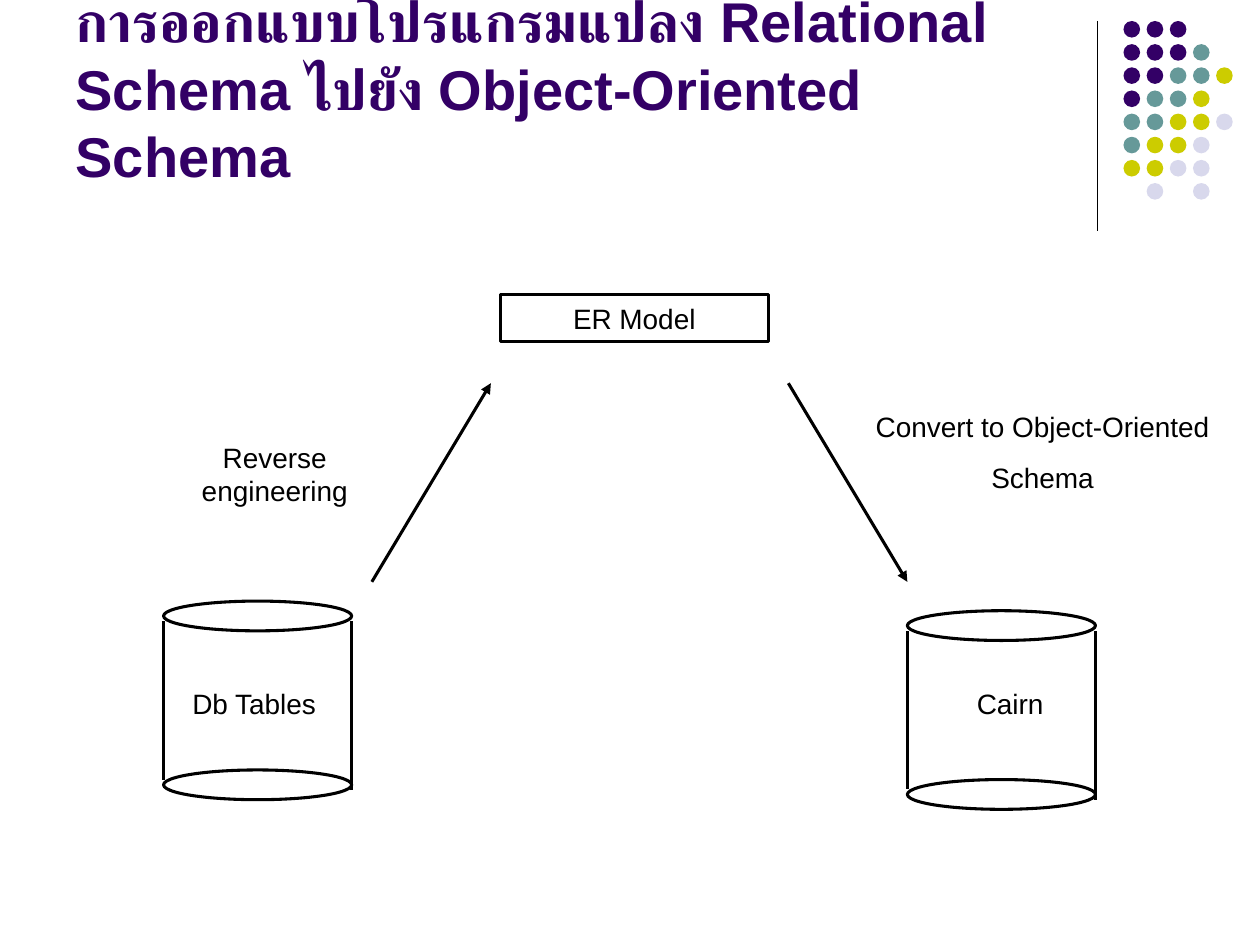
from lxml import etree
from pptx import Presentation
from pptx.dml.color import RGBColor
from pptx.enum import shapes, text
from pptx.oxml import ns
from pptx.util import Pt

COLORS = {"P": "330066", "T": "669999", "Y": "CCCC00", "L": "D8D8EC",
          "black": "000000", "white": "FFFFFF"}
DOT_ROWS = ["PPP", "PPPT", "PPTTY", "PTTY", "TTYYL", "TYYL", "YYLL", ".L.L"]
LINE_WIDTH = 1.75


def rgb(name):
    return RGBColor.from_string(COLORS[name])


def format_text(tf, size, color, align, bold=False):
    for i, p in enumerate(tf.paragraphs):
        p.alignment = align
        p.space_before = Pt(10 if i else 0)
        for r in p.runs:
            r.font.name = "Arial"
            r.font.size = Pt(size)
            r.font.bold = bold
            r.font.color.rgb = rgb(color)


def add_title(s, content):
    sp = s.shapes.title
    sp.left, sp.top, sp.width, sp.height = Pt(36), Pt(9.4), Pt(594), Pt(102)
    tf = sp.text_frame
    tf.text = content
    tf.auto_size = text.MSO_AUTO_SIZE.NONE
    tf.vertical_anchor = text.MSO_ANCHOR.BOTTOM
    format_text(tf, 32, "P", text.PP_ALIGN.LEFT, bold=True)


def add_shape(parent, kind, x, y, w, h, fill, outlined=True):
    sp = parent.shapes.add_shape(kind, Pt(x), Pt(y), Pt(w), Pt(h))
    sp.shadow.inherit = False
    sp.fill.solid()
    sp.fill.fore_color.rgb = rgb(fill)
    if outlined:
        sp.line.color.rgb = rgb("black")
        sp.line.width = Pt(LINE_WIDTH)
    else:
        sp.line.fill.background()
    return sp


def add_line(s, x1, y1, x2, y2, width=LINE_WIDTH, arrow=False):
    ln = s.shapes.add_connector(shapes.MSO_CONNECTOR.STRAIGHT,
                                Pt(x1), Pt(y1), Pt(x2), Pt(y2))
    ln.line.color.rgb = rgb("black")
    ln.line.width = Pt(width)
    if arrow:
        etree.SubElement(ln.line._get_or_add_ln(), ns.qn("a:tailEnd"), type="triangle")
    etree.SubElement(ln._element.spPr, ns.qn("a:effectLst"))


def add_label(s, content, x, y, w, h):
    tf = s.shapes.add_textbox(Pt(x), Pt(y), Pt(w), Pt(h)).text_frame
    tf.text = content
    tf.word_wrap = False
    tf.auto_size = text.MSO_AUTO_SIZE.SHAPE_TO_FIT_TEXT
    format_text(tf, 16, "black", text.PP_ALIGN.CENTER)


def add_dots(s, x, y, step=13.23, size=9.5):
    group = s.shapes.add_group_shape()
    for row, codes in enumerate(DOT_ROWS):
        for col, code in enumerate(codes):
            if code != ".":
                add_shape(group, shapes.MSO_SHAPE.OVAL, x + col * step,
                          y + row * step, size, size, code, outlined=False)


def add_database(s, x, y, w=107.5, cap=17):
    oval = shapes.MSO_SHAPE.OVAL
    add_shape(s, oval, x, y, w, cap, "white")
    add_line(s, x, y + 11.5, x, y + 102)
    add_shape(s, oval, x, y + 96.5, w, cap, "white")
    add_line(s, x + w, y + 108, x + w, y + 11.5)


def main():
    prs = Presentation()
    prs.slide_width, prs.slide_height = Pt(720), Pt(540)
    s = prs.slides.add_slide(prs.slide_layouts[5])

    # Corner decoration and title
    add_line(s, 627, 12, 627, 132, width=0.75)
    add_dots(s, 642, 12)
    add_title(s, "การออกแบบโปรแกรมแปลง Relational Schema ไปยัง Object-Oriented Schema")

    # Source and target databases
    add_database(s, 93.5, 343.5)
    add_database(s, 518.5, 349)

    # Model in the middle
    box = add_shape(s, shapes.MSO_SHAPE.RECTANGLE, 286, 168.5, 153, 26.5, "white")
    box.text_frame.text = "ER Model"
    box.text_frame.vertical_anchor = text.MSO_ANCHOR.MIDDLE
    format_text(box.text_frame, 16, "black", text.PP_ALIGN.CENTER)

    # Conversion steps
    add_line(s, 212.5, 332.5, 280.5, 219, arrow=True)
    add_line(s, 450.5, 219, 518.5, 332.5, arrow=True)

    # Labels
    for label in [("Reverse engineering", 76.5, 248, 161, 26.5),
                  ("Convert to Object-Oriented\nSchema", 491, 230.5, 209.5, 55.5),
                  ("Db Tables", 99.5, 389, 91.5, 26.5),
                  ("Cairn", 547, 389, 60.5, 26.5)]:
        add_label(s, *label)

    prs.save("out.pptx")


if __name__ == "__main__":
    main()
